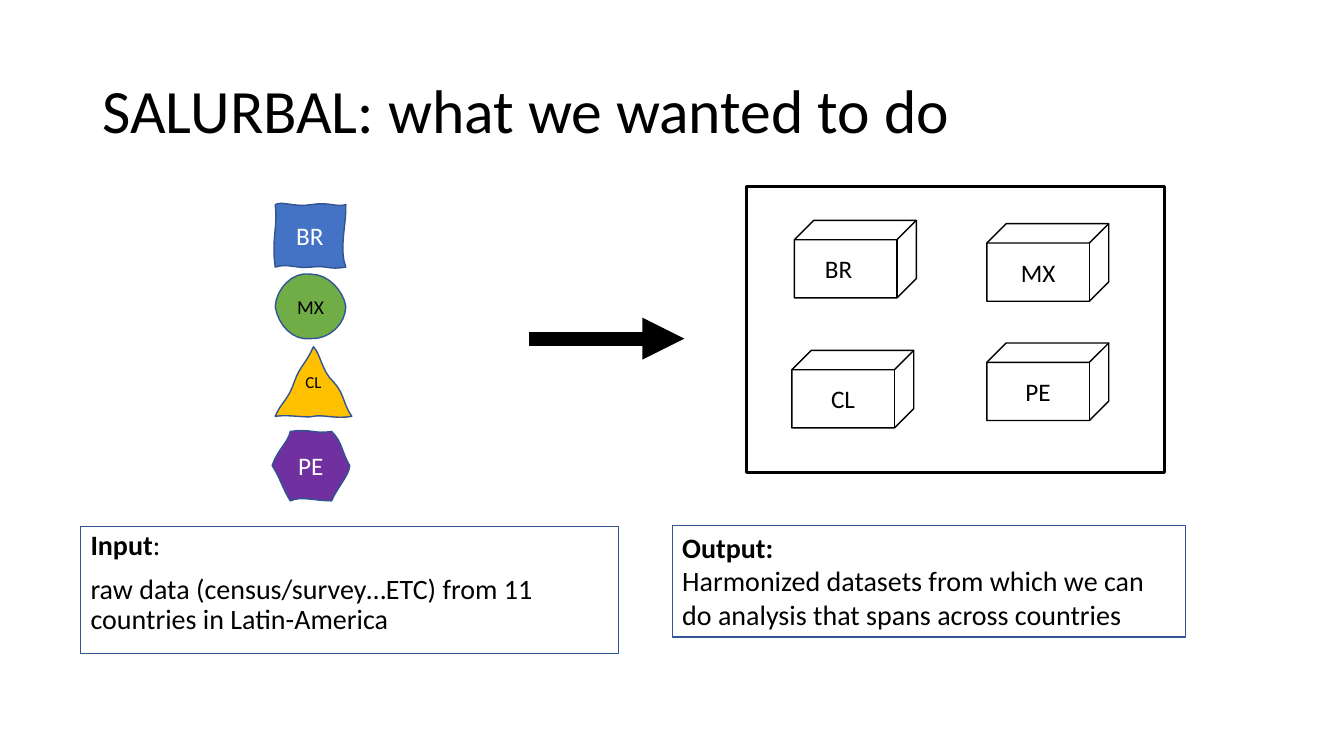
from dataclasses import dataclass

from lxml import etree
from pptx import Presentation
from pptx.dml.color import RGBColor
from pptx.enum.shapes import MSO_CONNECTOR, MSO_SHAPE
from pptx.enum.text import MSO_ANCHOR, PP_ALIGN
from pptx.oxml.ns import qn
from pptx.shapes.autoshape import Shape
from pptx.shapes.base import BaseShape
from pptx.slide import Slide
from pptx.util import Pt

CENTER, LEFT = PP_ALIGN.CENTER, PP_ALIGN.LEFT
MIDDLE, TOP = MSO_ANCHOR.MIDDLE, MSO_ANCHOR.TOP
CUBE, RECTANGLE = MSO_SHAPE.CUBE, MSO_SHAPE.RECTANGLE
STRAIGHT = MSO_CONNECTOR.STRAIGHT

FONT = "Calibri"
BLACK, WHITE, NAVY = "000000", "FFFFFF", "325491"
CURVE_STEPS = 8
CUBE_WIDTH, CUBE_HEIGHT = 87.1, 55.4

Point = tuple[float, float]
Curve = tuple[Point, Point, Point]


@dataclass
class Country:
    name: str
    fill: str
    text_color: str
    text_size: float
    start: Point
    curves: list[Curve]


@dataclass
class Cube:
    name: str
    left: float
    top: float
    right_inset: float = 7.2


@dataclass
class Caption:
    left: float
    top: float
    width: float
    height: float
    border: str
    heading: str
    heading_end: str
    body: str
    line_spacing: float
    space_before: float


COUNTRIES = [
    Country("MX", "70AD47", BLACK, 14, (196.6, 218.9), [
        ((197.3, 206.6), (208.8, 193.7), (221.8, 195.8)),
        ((234.7, 195.8), (245.5, 208.1), (247, 218.9)),
        ((247, 231.1), (235.4, 242.6), (221.8, 241.9)),
        ((209.5, 243.4), (198.7, 232.6), (196.6, 218.9)),
    ]),
    Country("BR", "4472C4", WHITE, 18, (196.6, 146.2), [
        ((201.6, 143.3), (210.2, 148.3), (222.5, 146.2)),
        ((234.7, 144), (240.5, 148.3), (247, 146.2)),
        ((247.7, 159.1), (241.9, 177.8), (247, 190.8)),
        ((234.7, 193), (233.3, 189.4), (222.5, 190.8)),
        ((211.7, 192.2), (205.9, 187.9), (196.6, 190.8)),
        ((193.7, 170.6), (198.7, 161.3), (196.6, 146.2)),
    ]),
    Country("CL", "FFC000", BLACK, 12, (196.6, 297.4), [
        ((200.9, 287.3), (205.9, 285.8), (210.2, 272.9)),
        ((214.6, 260.6), (218.2, 260.6), (223.9, 247.7)),
        ((229, 252.7), (229.7, 265), (238.3, 272.9)),
        ((246.2, 281.5), (244.8, 288), (251.3, 297.4)),
        ((239.8, 299.5), (230.4, 295.9), (223.9, 297.4)),
        ((218.2, 298.8), (206.6, 295.9), (196.6, 297.4)),
    ]),
    Country("PE", "7030A0", WHITE, 18, (194.4, 332.6), [
        ((198.7, 320.4), (205.9, 316.1), (207.4, 308.2)),
        ((221.8, 306), (224.6, 310.3), (236.9, 308.2)),
        ((244.8, 316.1), (243.4, 321.1), (249.8, 332.6)),
        ((249.8, 339.1), (241.2, 347.8), (236.9, 357.8)),
        ((224.6, 357.8), (215.3, 354.2), (207.4, 357.8)),
        ((202.3, 349.9), (199.4, 339.8), (194.4, 332.6)),
    ]),
]

CUBES = [
    Cube("BR", 567.4, 157.4, right_inset=17.2),
    Cube("MX", 704.9, 159.8),
    Cube("CL", 565.6, 250.3),
    Cube("PE", 704.9, 245),
]

CAPTIONS = [
    Caption(57.6, 375.8, 384.5, 90.7, NAVY, "Input", ":",
            "raw data (census/survey…ETC) from 11 countries in Latin-America", 0.9, 10),
    Caption(480.2, 375.1, 366.5, 79.9, NAVY, "Output:", "",
            "Harmonized datasets from which we can do analysis that spans across countries", 1, 0),
]


def color(value: str) -> RGBColor:
    return RGBColor.from_string(value)


def style_shape(shape: Shape, border: str, weight: float, fill: str | None = None) -> None:
    shape.shadow.inherit = False
    shape.line.color.rgb = color(border)
    shape.line.width = Pt(weight)
    if fill is None:
        shape.fill.background()
    else:
        shape.fill.solid()
        shape.fill.fore_color.rgb = color(fill)


def style_text(shape: BaseShape, size: float, text_color: str, alignment: PP_ALIGN, anchor: MSO_ANCHOR) -> None:
    text_frame = shape.text_frame
    text_frame.word_wrap = True
    text_frame.vertical_anchor = anchor
    for paragraph in text_frame.paragraphs:
        paragraph.alignment = alignment
        for run in paragraph.runs:
            run.font.name = FONT
            run.font.size = Pt(size)
            run.font.color.rgb = color(text_color)


def curve_points(start: Point, curves: list[Curve]) -> list[Point]:
    points = []
    for first, second, end in curves:
        for step in range(1, CURVE_STEPS + 1):
            t = step / CURVE_STEPS
            u = 1 - t
            x, y = (u**3 * a + 3 * u * u * t * b + 3 * u * t * t * c + t**3 * d
                    for a, b, c, d in zip(start, first, second, end))
            points.append((Pt(x), Pt(y)))
        start = end
    return points


def draw_title(slide: Slide) -> None:
    title = slide.shapes.add_textbox(Pt(66.2), Pt(28.8), Pt(828), Pt(104.4))
    title.text_frame.text = "SALURBAL: what we wanted to do"
    title.text_frame.paragraphs[0].line_spacing = 0.9
    style_text(title, 44, BLACK, LEFT, MIDDLE)


def draw_country(slide: Slide, country: Country) -> None:
    x, y = country.start
    builder = slide.shapes.build_freeform(Pt(x), Pt(y))
    builder.add_line_segments(curve_points(country.start, country.curves), close=True)
    shape = builder.convert_to_shape()
    style_shape(shape, NAVY, 1, country.fill)
    shape.text_frame.text = country.name
    style_text(shape, country.text_size, country.text_color, CENTER, MIDDLE)


def draw_cube(slide: Slide, cube: Cube) -> None:
    shape = slide.shapes.add_shape(CUBE, Pt(cube.left), Pt(cube.top), Pt(CUBE_WIDTH), Pt(CUBE_HEIGHT))
    style_shape(shape, BLACK, 1)
    shape.text_frame.text = cube.name
    shape.text_frame.margin_right = Pt(cube.right_inset)
    style_text(shape, 18, BLACK, CENTER, MIDDLE)


def draw_caption(slide: Slide, caption: Caption) -> None:
    shape = slide.shapes.add_shape(
        RECTANGLE, Pt(caption.left), Pt(caption.top), Pt(caption.width), Pt(caption.height))
    style_shape(shape, caption.border, 0.75)
    text_frame = shape.text_frame
    text_frame.text = f"{caption.heading}\n{caption.body}"
    heading = text_frame.paragraphs[0]
    heading.runs[0].font.bold = True
    if caption.heading_end:
        heading.add_run().text = caption.heading_end
    for paragraph in text_frame.paragraphs:
        paragraph.line_spacing = caption.line_spacing
        paragraph.space_before = Pt(caption.space_before)
    style_text(shape, 20, BLACK, LEFT, TOP)


def draw_arrow(slide: Slide) -> None:
    arrow = slide.shapes.add_connector(STRAIGHT, Pt(378), Pt(241.9), Pt(488.9), Pt(241.9))
    arrow.line.color.rgb = color(BLACK)
    arrow.line.width = Pt(10)
    etree.SubElement(arrow.line._get_or_add_ln(), qn("a:tailEnd"), type="triangle")
    etree.SubElement(arrow._element.spPr, qn("a:effectLst"))


def main() -> None:
    presentation = Presentation()
    presentation.slide_width, presentation.slide_height = Pt(960), Pt(540)
    slide = presentation.slides.add_slide(presentation.slide_layouts[6])
    draw_title(slide)
    for caption in CAPTIONS:
        draw_caption(slide, caption)
    draw_arrow(slide)
    for country in COUNTRIES:
        draw_country(slide, country)
    for cube in CUBES:
        draw_cube(slide, cube)
    frame = slide.shapes.add_shape(RECTANGLE, Pt(533.5), Pt(133.2), Pt(298.1), Pt(204.5))
    style_shape(frame, BLACK, 2)
    presentation.save("out.pptx")


if __name__ == "__main__":
    main()
